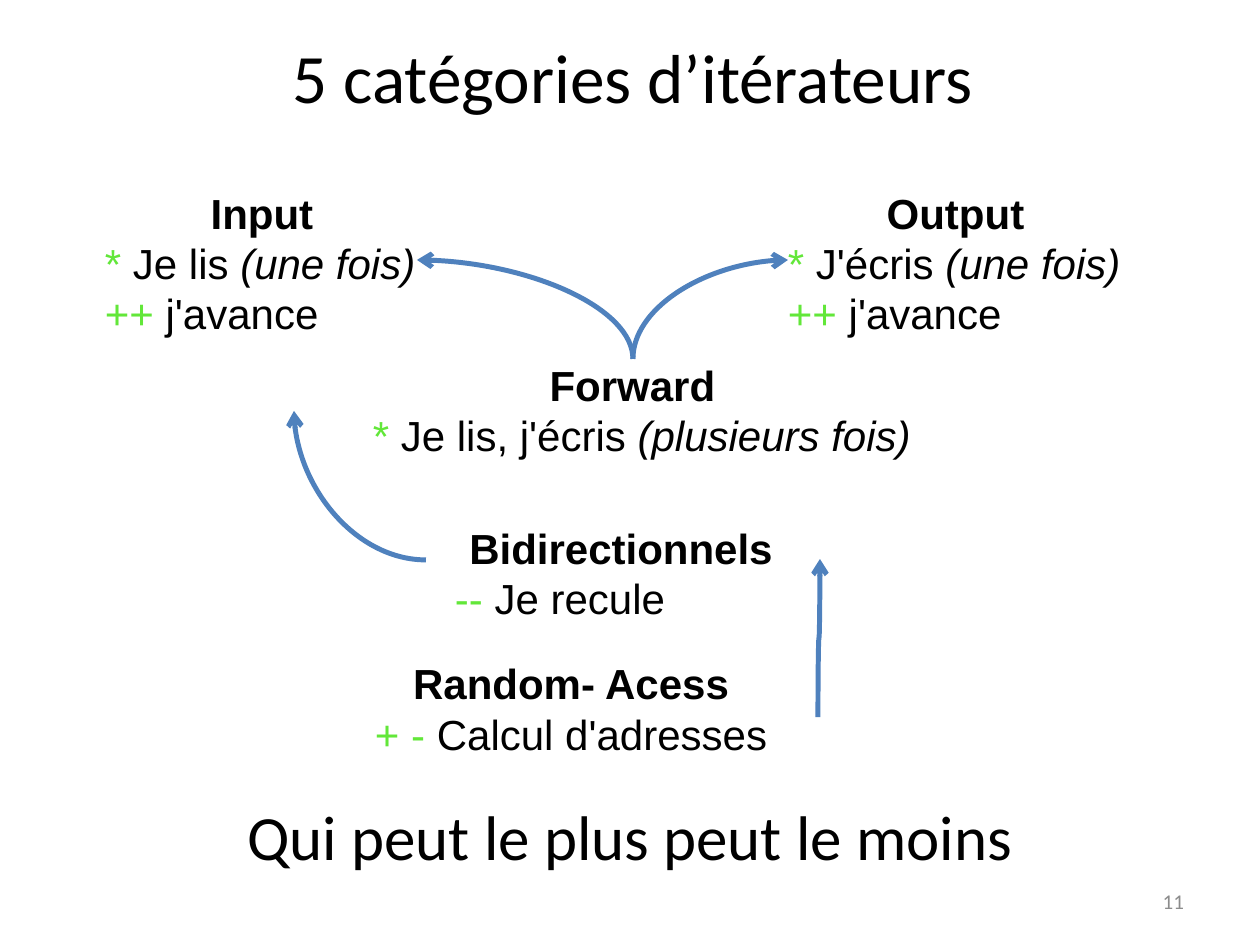
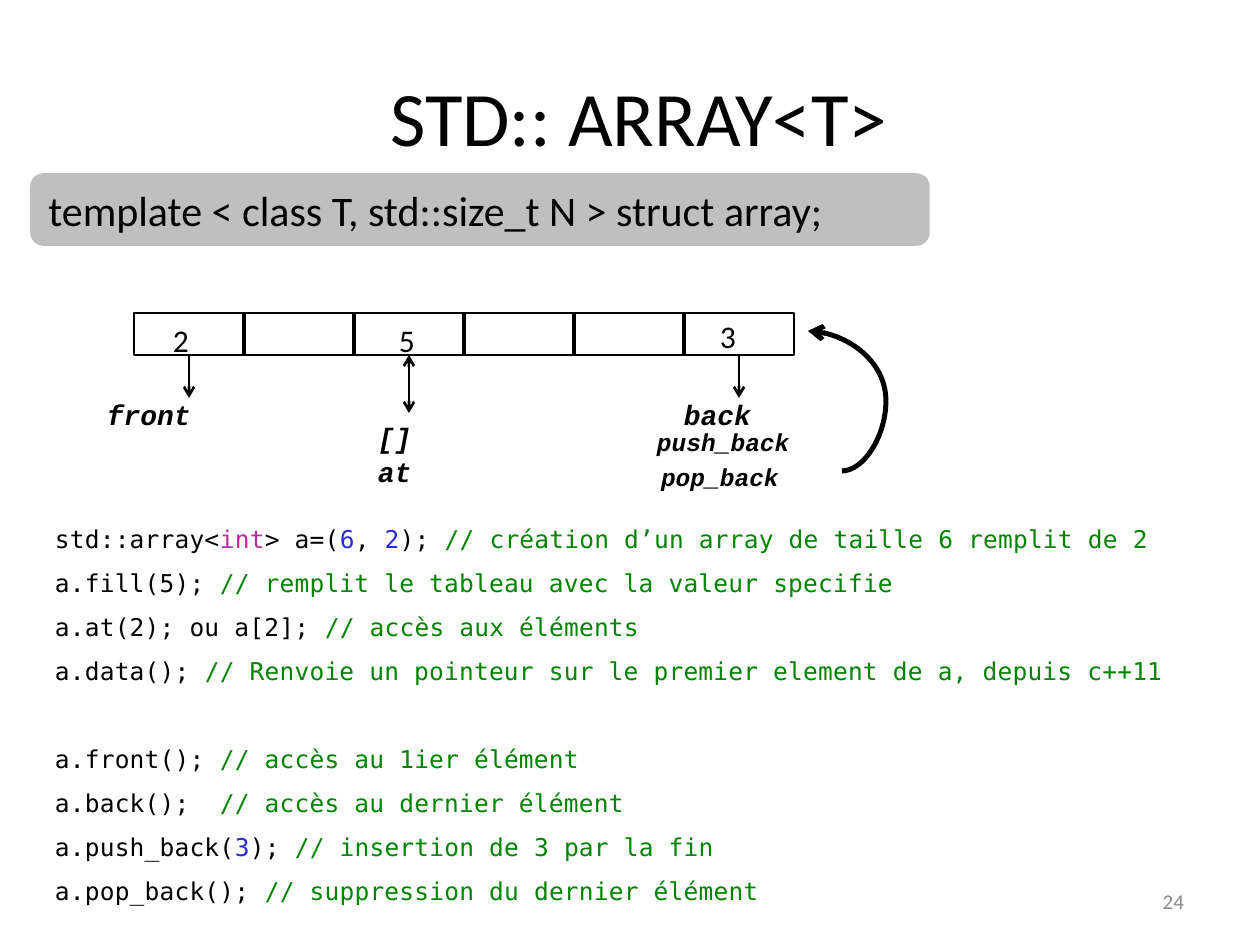
from lxml import etree
from pptx import Presentation
from pptx.dml.color import RGBColor
from pptx.enum.shapes import MSO_CONNECTOR, MSO_SHAPE
from pptx.enum.text import MSO_ANCHOR, MSO_AUTO_SIZE, PP_ALIGN
from pptx.oxml.ns import qn
from pptx.util import Emu, Pt

LEFT, CENTER, RIGHT = PP_ALIGN.LEFT, PP_ALIGN.CENTER, PP_ALIGN.RIGHT
TOP, MIDDLE = MSO_ANCHOR.TOP, MSO_ANCHOR.MIDDLE
STRAIGHT, CURVE = MSO_CONNECTOR.STRAIGHT, MSO_CONNECTOR.CURVE
NO_FIT = MSO_AUTO_SIZE.NONE
RECTANGLE, ROUNDED = MSO_SHAPE.RECTANGLE, MSO_SHAPE.ROUNDED_RECTANGLE

SCALE = 914400 / 126
SLIDE_WIDTH, SLIDE_HEIGHT = 1260, 945
INSETS = (13, 6)
COLORS = {
    "text": "000000",
    "symbol": "62E739",
    "arrow": "4F81BD",
    "band": "BFBFBF",
    "number": "8C8C8C",
    "keyword": "BB2CA2",
    "literal": "272AD8",
    "comment": "008400",
}


def px(length):
    """Turn pixels into EMU."""
    return Emu(round(length * SCALE))


def rgb(name):
    """Look up a colour by its role."""
    return RGBColor.from_string(COLORS[name])


def write_run(paragraph, text, font="Calibri", size=18, color="text",
              bold=False, italic=False, spacing=0):
    """Add one formatted run to a paragraph."""
    run = paragraph.add_run()
    run.text = text
    run.font.name = font
    run.font.size = Pt(size)
    run.font.bold = bold
    run.font.italic = italic
    run.font.color.rgb = rgb(color)
    if spacing:
        run.font._element.set("spc", str(spacing))


def write(frame, lines, align=LEFT, anchor=TOP, insets=INSETS, **style):
    """Fill a text frame with lines of plain or styled runs."""
    frame.word_wrap = True
    frame.auto_size = NO_FIT
    frame.vertical_anchor = anchor
    frame.margin_left = frame.margin_right = px(insets[0])
    frame.margin_top = frame.margin_bottom = px(insets[1])
    for index, line in enumerate(lines):
        paragraph = frame.add_paragraph() if index else frame.paragraphs[0]
        paragraph.alignment = align
        for part in [line] if isinstance(line, str) else line:
            text, changes = (part, {}) if isinstance(part, str) else part
            write_run(paragraph, text, **{**style, **changes})
    return frame.paragraphs


def indent(paragraph, length):
    """Move a whole paragraph to the right."""
    properties = paragraph._p.get_or_add_pPr()
    properties.set("marL", str(px(length)))
    properties.set("indent", "0")
    return properties


def place(shape, box):
    """Move a shape into a box."""
    shape.left, shape.top, shape.width, shape.height = map(px, box)


def label(slide, box, lines, **style):
    """Add a text box and return its paragraphs."""
    area = slide.shapes.add_textbox(*map(px, box))
    return write(area.text_frame, lines, **style)


def connect(slide, start, end, color="text", width=1.5, kind=STRAIGHT,
            preset=None, bend=None, turn=0, head=False, tail=False):
    """Draw a straight or curved line with optional arrowheads."""
    line = slide.shapes.add_connector(kind, *map(px, start + end))
    line.line.color.rgb = rgb(color)
    line.line.width = Pt(width)
    properties = line._element.spPr
    for wanted, tag in ((head, "a:headEnd"), (tail, "a:tailEnd")):
        if wanted:
            outline = line.line._get_or_add_ln()
            etree.SubElement(outline, qn(tag), type="arrow")
    etree.SubElement(properties, qn("a:effectLst"))
    geometry = properties.find(qn("a:prstGeom"))
    if preset:
        geometry.set("prst", preset)
    if bend is not None:
        guides = geometry.find(qn("a:avLst"))
        if guides is None:
            guides = etree.SubElement(geometry, qn("a:avLst"))
        etree.SubElement(guides, qn("a:gd"), name="adj1", fmla=f"val {bend}")
    if turn:
        properties.find(qn("a:xfrm")).set("rot", str(turn * 60000))


def start_slide(deck, layout, title, box, size, number):
    """Add a slide with its title and its number."""
    slide = deck.slides.add_slide(deck.slide_layouts[layout])
    place(slide.shapes.title, box)
    write(slide.shapes.title.text_frame, [title], align=CENTER,
          anchor=MIDDLE, size=size)
    label(slide, (903, 876, 294, 50), [str(number)], align=RIGHT,
          anchor=MIDDLE, size=12, color="number")
    return slide


def iterator_category(slide, box, name, abilities, align=LEFT, offset=0):
    """Name one iterator category above the operations it allows."""
    lines = [[(name, {"bold": True})]]
    for symbol, action, *frequency in abilities:
        lines.append([(symbol, {"color": "symbol"}), f" {action}"]
                     + [(f" {word}", {"italic": True}) for word in frequency])
    heading, *operations = label(slide, box, lines, align=align,
                                 insets=(0, 0), font="Arial", size=24)
    heading.alignment = CENTER
    for operation in operations:
        indent(operation, offset)


def iterators_slide(deck):
    """Show how the five iterator categories build on each other."""
    slide = start_slide(deck, 1, "5 catégories d’itérateurs",
                        (66, 37, 1134, 77), 39.6, 11)
    motto = slide.placeholders[1]
    place(motto, (15, 791, 1230, 90))
    paragraph = write(motto.text_frame, ["Qui peut le plus peut le moins"],
                      align=CENTER, size=36)[0]
    paragraph.space_before = Pt(0)
    etree.SubElement(indent(paragraph, 0), qn("a:buNone"))

    advance = ("++", "j'avance")
    iterator_category(slide, (105, 187, 314, 146), "Input",
                      [("*", "Je lis", "(une fois)"), advance])
    iterator_category(slide, (788, 187, 335, 146), "Output",
                      [("*", "J'écris", "(une fois)"), advance])
    iterator_category(slide, (349, 359, 567, 97), "Forward",
                      [("*", "Je lis, j'écris", "(plusieurs fois)")],
                      offset=24)
    iterator_category(slide, (455, 522, 332, 97), "Bidirectionnels",
                      [("--", "Je recule")])
    iterator_category(slide, (373, 658, 396, 97), "Random- Acess",
                      [("+ -", "Calcul d'adresses")], align=CENTER)

    curve = {"color": "arrow", "width": 2.83, "kind": CURVE}
    quarter = {**curve, "preset": "curvedConnector2"}
    forward_top = (633, 359)
    for target in ((417, 260), (788, 260)):
        connect(slide, target, forward_top, head=True, **quarter)
    connect(slide, (426, 560), (294, 411), tail=True, **quarter)
    connect(slide, (740, 637), (898, 639), turn=270, tail=True, **curve)


def array_diagram(slide, box, count):
    """Draw the array cells with their values and access functions."""
    left, top, width, height = box
    step, bottom = width // count, top + height
    cells = slide.shapes.add_shape(RECTANGLE, *map(px, box))
    cells.shadow.inherit = False
    cells.fill.background()
    cells.line.color.rgb = rgb("text")
    cells.line.width = Pt(0)
    for index in range(1, count):
        x = left + index * step
        connect(slide, (x, top), (x, bottom), width=0)

    for value, x, y in (("2", 26, 2), ("5", 252, 2), ("3", 573, -2)):
        label(slide, (left + x, top + y, 64, 48), [value])
    for index, length, both in ((0, 43, False), (2, 58, True),
                                (5, 43, False)):
        x = left + index * step + step // 2
        connect(slide, (x, bottom), (x, bottom + length), head=both, tail=True)

    code = {"font": "Courier New", "bold": True, "italic": True,
            "insets": (0, 0)}
    for names, x, y in ((["front"], -27, 85), (["[]", "at"], 244, 108),
                        (["back"], 550, 85)):
        label(slide, (left + x, top + y, 100, 32 * len(names)), names,
              size=16, **code)
    pop = label(slide, (left + 523, top + 114, 167, 62),
                ["push_back", "pop_back"], size=14, **code)[1]
    indent(pop, 4)
    pop.space_before = Pt(3)
    connect(slide, (left + 708, top + 158), (left + 674, top + 18),
            width=2.83, kind=CURVE, bend=-129500, tail=True)


def code_listing(slide, box):
    """List the array operations with coloured comments."""
    def literal(text):
        return text, {"color": "literal"}

    statements = [
        (["std::array<", ("int", {"color": "keyword"}), "> a=(",
          literal("6"), ", ", literal("2"), "); "],
         "création d’un array de taille 6 remplit de 2"),
        (["a.fill(5); "], "remplit le tableau avec la valeur specifie"),
        (["a.at(2); ou a[2]; "], "accès aux éléments"),
        (["a.data(); "],
         "Renvoie un pointeur sur le premier element de a, depuis c++11"),
        (["a.front(); "], "accès au 1ier élément"),
        (["a.back();  "], "accès au dernier élément"),
        (["a.push_back(", literal("3"), "); "], "insertion de 3 par la fin"),
        (["a.pop_back(); "], "suppression du dernier élément"),
    ]
    lines = [code + [(f"// {comment}", {"color": "comment"})]
             for code, comment in statements]
    paragraphs = label(slide, box, lines, font="DejaVu Sans Mono", size=14,
                       spacing=10)
    for paragraph in paragraphs:
        indent(paragraph, 16)
        paragraph.line_spacing = 1.5
    paragraphs[4].space_before = Pt(25)


def array_slide(deck):
    """Present the array template, its layout and its operations."""
    slide = start_slide(deck, 5, "STD:: ARRAY<T>", (72, 37, 1134, 158), 44, 24)
    band = slide.shapes.add_shape(ROUNDED, *map(px, (32, 175, 896, 69)))
    band.shadow.inherit = False
    band.fill.solid()
    band.fill.fore_color.rgb = rgb("band")
    band.line.color.rgb = rgb("band")
    band.line.width = Pt(2)
    write(band.text_frame, ["template < class T, std::size_t N > struct array;"],
          anchor=MIDDLE, size=24)
    array_diagram(slide, (134, 313, 660, 42), 6)
    code_listing(slide, (26, 503, 1200, 413))


def main():
    """Build and save the presentation."""
    deck = Presentation()
    deck.slide_width, deck.slide_height = px(SLIDE_WIDTH), px(SLIDE_HEIGHT)
    iterators_slide(deck)
    array_slide(deck)
    deck.save("out.pptx")


if __name__ == "__main__":
    main()
